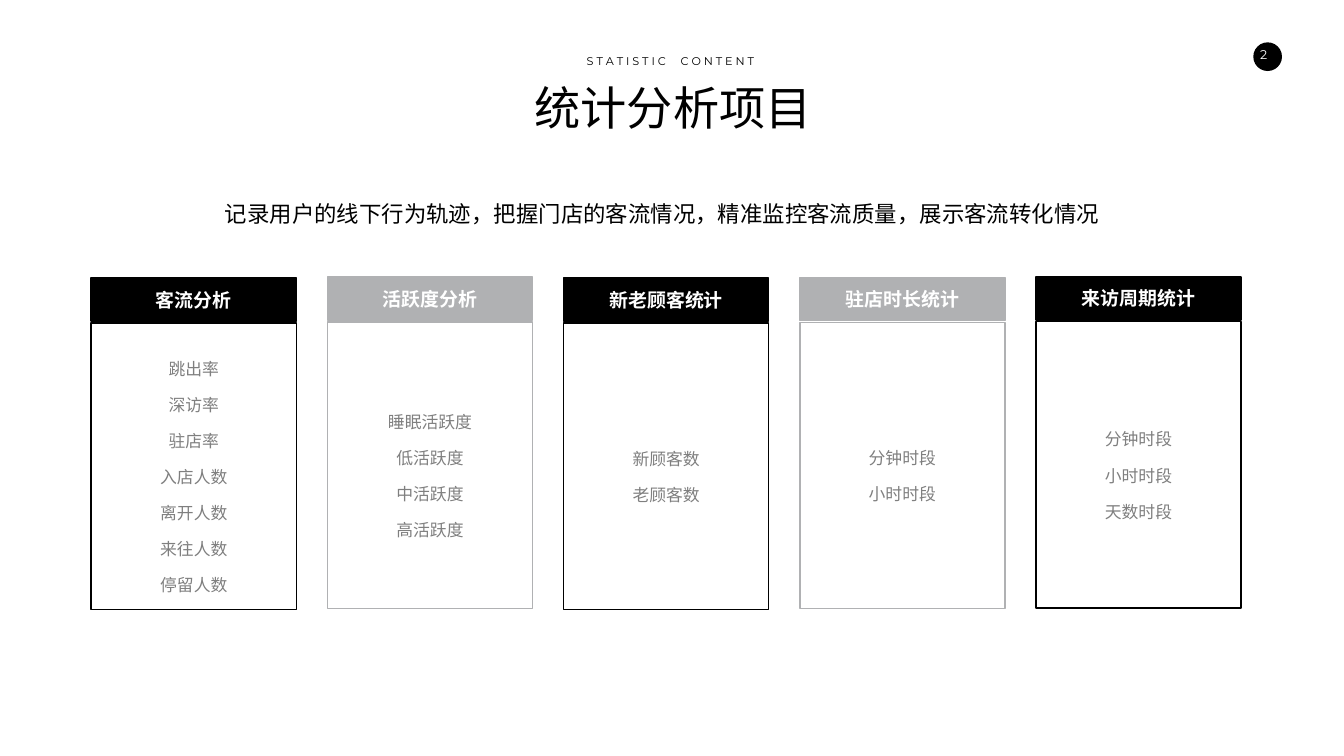
"""Build the slide that lists the visitor statistics in five columns."""
from pptx import Presentation
from pptx.dml.color import RGBColor
from pptx.enum.shapes import MSO_SHAPE
from pptx.enum.text import MSO_ANCHOR, PP_ALIGN
from pptx.util import Pt

RECTANGLE, OVAL = MSO_SHAPE.RECTANGLE, MSO_SHAPE.OVAL
TOP, MIDDLE = MSO_ANCHOR.TOP, MSO_ANCHOR.MIDDLE
LEFT, CENTER = PP_ALIGN.LEFT, PP_ALIGN.CENTER
BLACK = RGBColor(0x00, 0x00, 0x00)
WHITE = RGBColor(0xFF, 0xFF, 0xFF)
SILVER = RGBColor(0xB0, 0xB1, 0xB3)
GRAY = RGBColor(0x7F, 0x7F, 0x7F)
LATIN_FONT, CHINESE_FONT = "Montserrat", "Noto Sans CJK SC"

COLUMN_LEFT, COLUMN_PITCH, COLUMN_WIDTH = 130.3, 337.3, 293
HEADER_HEIGHT, BODY_OFFSET, BODY_HEIGHT = 61.5, 64, 409
HEADER_INSETS = (19.4, 9.4, 19.4, 9.4)
BODY_INSETS = (28.8, 16.6, 28.8, 9.4)
TEXT_INSETS = (7.2, 3.6, 7.2, 3.6)
COLUMNS = [
    ("客流分析", 397.5, BLACK,
     ["跳出率", "深访率", "驻店率", "入店人数", "离开人数", "来往人数", "停留人数"]),
    ("活跃度分析", 396, SILVER, ["睡眠活跃度", "低活跃度", "中活跃度", "高活跃度"]),
    ("新老顾客统计", 397.5, BLACK, ["新顾客数", "老顾客数"]),
    ("驻店时长统计", 396.5, SILVER, ["分钟时段", "小时时段"]),
    ("来访周期统计", 395.5, BLACK, ["分钟时段", "小时时段", "天数时段"]),
]


def add_run(paragraph, text, size, color, font=LATIN_FONT, bold=False):
    run = paragraph.add_run()
    run.text = text
    run.font.size = Pt(size)
    run.font.name = font
    run.font.bold = bold
    run.font.color.rgb = color
    return run


def prepare_frame(shape, insets, anchor):
    frame = shape.text_frame
    frame.word_wrap = True
    frame.vertical_anchor = anchor
    (frame.margin_left, frame.margin_top,
     frame.margin_right, frame.margin_bottom) = map(Pt, insets)
    return frame


def add_panel(slide, kind, box, fill=None, line=None):
    shape = slide.shapes.add_shape(kind, *map(Pt, box))
    shape.shadow.inherit = False
    if fill is None:
        shape.fill.background()
    else:
        shape.fill.solid()
        shape.fill.fore_color.rgb = fill
    if line is None:
        shape.line.fill.background()
    else:
        shape.line.color.rgb = line
        shape.line.width = Pt(2.25)
    return shape


def add_label(slide, box, alignment=CENTER, insets=TEXT_INSETS):
    text_box = slide.shapes.add_textbox(*map(Pt, box))
    paragraph = prepare_frame(text_box, insets, TOP).paragraphs[0]
    paragraph.alignment = alignment
    return paragraph


def add_column(slide, left, top, title, color, items):
    header = add_panel(slide, RECTANGLE, (left, top, COLUMN_WIDTH, HEADER_HEIGHT), color, color)
    paragraph = prepare_frame(header, HEADER_INSETS, MIDDLE).paragraphs[0]
    paragraph.alignment = CENTER
    add_run(paragraph, title, 27, WHITE, bold=True)

    body_box = (left, top + BODY_OFFSET, COLUMN_WIDTH, BODY_HEIGHT)
    body = add_panel(slide, RECTANGLE, body_box, line=color)
    frame = prepare_frame(body, BODY_INSETS, MIDDLE)
    for index, item in enumerate(items):
        paragraph = frame.add_paragraph() if index else frame.paragraphs[0]
        paragraph.alignment = CENTER
        paragraph.line_spacing = 1.79
        add_run(paragraph, item, 24, GRAY)


def add_page_number(slide):
    add_panel(slide, OVAL, (1790, 60.5, 41, 41), BLACK)
    paragraph = add_label(slide, (1774, 60.5, 62, 36), insets=(14.4, 7.2, 14.4, 7.2))
    add_run(paragraph, "2", 18, WHITE)


def add_heading(slide):
    add_run(add_label(slide, (646.5, 109.5, 629.5, 87)), "统计分析项目", 66, BLACK)
    paragraph = add_label(slide, (749.5, 73.5, 416, 26.5))
    add_run(paragraph, "S T A T I S T I C", 16, BLACK)
    word_gap = add_run(paragraph, " ", 16, BLACK)
    word_gap.font._element.set("spc", "1680")
    add_run(paragraph, "C O N T E N T", 16, BLACK)
    introduction = add_label(slide, (314, 282, 1274.5, 46), LEFT)
    add_run(introduction, "记录用户的线下行为轨迹，把握门店的客流情况，精准监控客流质量，展示客流转化情况",
            32, BLACK, CHINESE_FONT)


def main():
    presentation = Presentation()
    presentation.slide_width, presentation.slide_height = Pt(1919.52), Pt(1080)
    slide = presentation.slides.add_slide(presentation.slide_layouts[6])
    add_page_number(slide)
    add_heading(slide)
    for index, (title, top, color, items) in enumerate(COLUMNS):
        add_column(slide, COLUMN_LEFT + index * COLUMN_PITCH, top, title, color, items)
    presentation.save("out.pptx")


if __name__ == "__main__":
    main()
